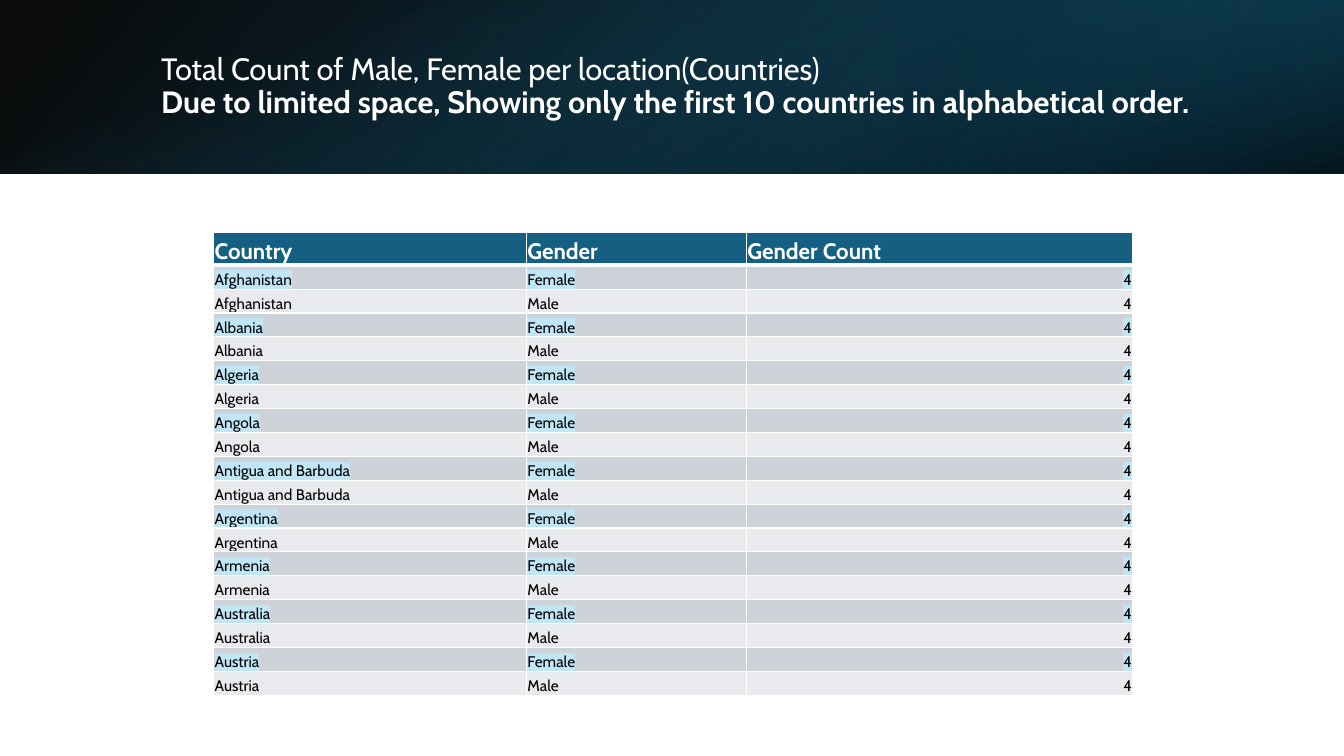
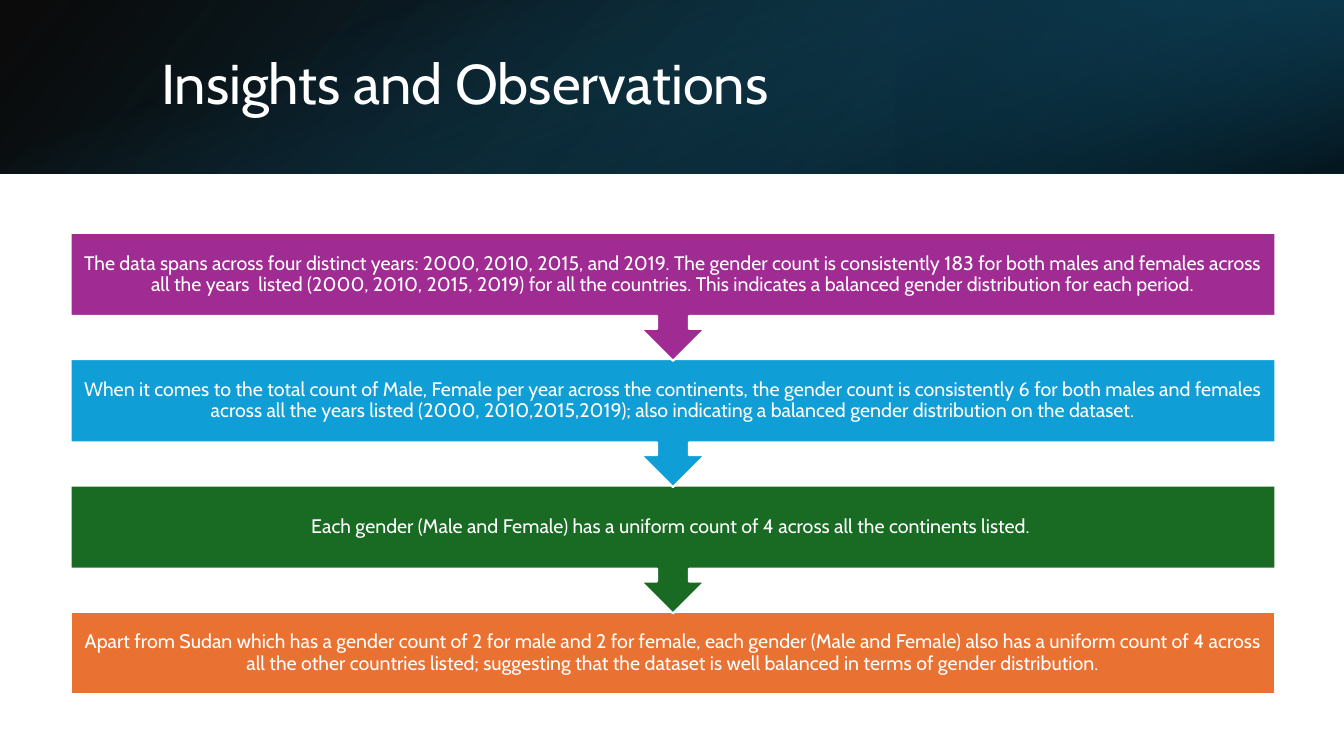
from lxml import etree
from pptx import Presentation
from pptx.dml.color import RGBColor
from pptx.enum.shapes import MSO_SHAPE
from pptx.enum.text import MSO_ANCHOR, PP_ALIGN
from pptx.oxml.ns import qn
from pptx.util import Inches, Pt

RECTANGLE, CALLOUT = MSO_SHAPE.RECTANGLE, MSO_SHAPE.DOWN_ARROW_CALLOUT
MIDDLE, BOTTOM = MSO_ANCHOR.MIDDLE, MSO_ANCHOR.BOTTOM
LEFT, CENTER, RIGHT = PP_ALIGN.LEFT, PP_ALIGN.CENTER, PP_ALIGN.RIGHT

COLOURS = {
    "white": "FFFFFF", "black": "000000", "teal": "156082",
    "deep teal": "104862", "night": "0B3041", "highlight": "C0E6F5",
    "odd row": "CCD2D8", "even row": "E8EAED", "purple": "A02B93",
    "blue": "0F9ED5", "green": "196B24", "orange": "E97132",
}
BAND_HEIGHT = 22.93
# Each layer: left, width, rotation, flipped, angle, stops of (position, colour, opacity)
BAND_LAYERS = [
    (0, 100, 0, True, 140, [(0, "black", 96), (100, "deep teal", 100)]),
    (200 / 3, 100 / 3, 180, True, 320, [(19, "night", 68), (100, "teal", 79)]),
    (0, 100, 90, False, 340, [(23, "teal", 0), (99, "black", 74)]),
]
COUNTRIES = ["Afghanistan", "Albania", "Algeria", "Angola", "Antigua and Barbuda",
             "Argentina", "Armenia", "Australia", "Austria"]
INSIGHTS = [
    ("purple", "The data spans across four distinct years: 2000, 2010, 2015, and 2019. "
     "The gender count is consistently 183 for both males and females across all the "
     "years  listed (2000, 2010, 2015, 2019) for all the countries. This indicates a "
     "balanced gender distribution for each period."),
    ("blue", "When it comes to the total count of Male, Female per year across the "
     "continents, the gender count is consistently 6 for both males and females across "
     "all the years listed (2000, 2010,2015,2019); also indicating a balanced gender "
     "distribution on the dataset."),
    ("green", "Each gender (Male and Female) has a uniform count of 4 across all the "
     "continents listed. "),
    ("orange", "Apart from Sudan which has a gender count of 2 for male and 2 for female, "
     "each gender (Male and Female) also has a uniform count of 4 across all the other "
     "countries listed; suggesting that the dataset is well balanced in terms of gender "
     "distribution."),
]


def colour(name):
    return RGBColor.from_string(COLOURS[name])


def apply(target, values):
    for name, value in values.items():
        setattr(target, name, value)


class SlideBuilder:
    """Holds the style and the current page; lengths are percentages of the slide."""

    font = "Cabin"

    def __init__(self):
        self.deck = Presentation()
        apply(self.deck, {"slide_width": Inches(13.33), "slide_height": Inches(7.5)})
        self.page = None

    def area(self, left, top, width, height):
        across, down = self.deck.slide_width / 100, self.deck.slide_height / 100
        return [round(length) for length in
                (left * across, top * down, width * across, height * down)]

    def start_page(self, title_size, *title_lines):
        self.page = self.deck.slides.add_slide(self.deck.slide_layouts[6])
        for layer in BAND_LAYERS:
            self.band_layer(*layer)
        self.title(title_size, title_lines)

    def band_layer(self, left, width, rotation, flipped, angle, stops):
        x, y, wide, high = self.area(left, 0, width, BAND_HEIGHT)
        if rotation == 90:
            x, y = x + (wide - high) // 2, y + (high - wide) // 2
            wide, high = high, wide
        box = self.page.shapes.add_shape(RECTANGLE, x, y, wide, high)
        box.rotation = rotation
        box.shadow.inherit = False
        box.line.fill.background()
        box.fill.gradient()
        box.fill.gradient_angle = 360 - angle
        properties = box._element.spPr
        if flipped:
            properties.find(qn("a:xfrm")).set("flipH", "1")
        for stop, (position, name, _) in zip(box.fill.gradient_stops, stops):
            stop.position = position / 100
            stop.color.rgb = colour(name)
        for tint, (_, _, opacity) in zip(properties.iter(qn("a:srgbClr")), stops):
            etree.SubElement(tint, qn("a:alpha")).set("val", str(opacity * 1000))

    def span(self, para, text, size, name="white", bold=False, highlight=None):
        span = para.add_run()
        span.text = text
        apply(span.font, {"name": self.font, "size": Pt(size), "bold": bold})
        span.font.color.rgb = colour(name)
        if highlight:
            mark = etree.Element(qn("a:highlight"))
            etree.SubElement(mark, qn("a:srgbClr")).set("val", COLOURS[highlight])
            span._r.rPr.find(qn("a:latin")).addprevious(mark)

    def title(self, size, lines):
        box = self.page.shapes.add_textbox(*self.area(11.25, 5.07, 82.37, 12.8))
        apply(box.text_frame, {"word_wrap": True, "vertical_anchor": MIDDLE})
        para = box.text_frame.paragraphs[0]
        para.line_spacing = 0.9
        for index, line in enumerate(lines):
            if index:
                para.add_line_break()
            self.span(para, line, size, bold=index > 0)

    def callout(self, kind, place, fill, text):
        box = self.page.shapes.add_shape(kind, *self.area(*place))
        box.shadow.inherit = False
        box.fill.solid()
        box.fill.fore_color.rgb = colour(fill)
        box.line.color.rgb = colour("white")
        box.line.width = Pt(1.5)
        inset = Inches(0.11)
        apply(box.text_frame, {
            "word_wrap": True, "vertical_anchor": MIDDLE, "margin_left": inset,
            "margin_top": inset, "margin_right": inset, "margin_bottom": inset})
        para = box.text_frame.paragraphs[0]
        apply(para, {"alignment": CENTER, "line_spacing": 0.9})
        self.span(para, text, 14)

    def table(self, place, column_weights, header_share, rows):
        """Draw a table whose first row takes header_share of the height."""
        x, y, wide, high = self.area(*place)
        table = self.page.shapes.add_table(
            len(rows), len(column_weights), x, y, wide, high).table
        for column, weight in zip(table.columns, column_weights):
            column.width = round(wide * weight / sum(column_weights))
        header_height = round(high * header_share)
        for index, (row, values) in enumerate(zip(table.rows, rows)):
            row.height = (round((high - header_height) / (len(rows) - 1))
                          if index else header_height)
            for position, (cell, value) in enumerate(zip(row.cells, values)):
                align = RIGHT if index and position == len(values) - 1 else LEFT
                self.cell(cell, value, index, align)

    def cell(self, cell, text, row, align):
        odd = row % 2 == 1
        inset = Inches(0.01)
        apply(cell, {"vertical_anchor": BOTTOM, "margin_left": inset,
                     "margin_top": inset, "margin_right": inset, "margin_bottom": 0})
        cell.fill.solid()
        fill = "teal" if row == 0 else "odd row" if odd else "even row"
        cell.fill.fore_color.rgb = colour(fill)
        para = cell.text_frame.paragraphs[0]
        para.alignment = align
        if row == 0:
            self.span(para, text, 16, bold=True)
        else:
            self.span(para, text, 11, "black", highlight="highlight" if odd else None)
        widths = {"L": 1, "R": 1, "T": 3 if row == 1 else 1, "B": 3 if row == 0 else 1}
        for order, (side, width) in enumerate(widths.items()):
            line = etree.Element(qn("a:ln" + side), w=str(Pt(width)))
            paint = etree.SubElement(line, qn("a:solidFill"))
            etree.SubElement(paint, qn("a:srgbClr")).set("val", COLOURS["white"])
            cell._tc.get_or_add_tcPr().insert(order, line)


def country_page(builder):
    builder.start_page(
        22, "Total Count of Male, Female per location(Countries)",
        "Due to limited space, Showing only the first 10 countries in alphabetical order.")
    rows = [("Country", "Gender", "Gender Count")]
    rows += [(country, gender, "4") for country in COUNTRIES
             for gender in ("Female", "Male")]
    builder.table((15.9, 30.8, 68.4, 61.2), (3.1, 2.18, 3.83), 0.07, rows)


def insight_page(builder):
    builder.start_page(40, "Insights and Observations")
    top, step, box_height, callout_height = 30.8, 16.71, 10.93, 16.93
    last = len(INSIGHTS) - 1
    for index, (fill, text) in reversed(list(enumerate(INSIGHTS))):
        kind, height = ((RECTANGLE, box_height) if index == last
                        else (CALLOUT, callout_height))
        builder.callout(kind, (5.25, top + index * step, 89.65, height), fill, text)


def main():
    builder = SlideBuilder()
    country_page(builder)
    insight_page(builder)
    builder.deck.save("out.pptx")


if __name__ == "__main__":
    main()
